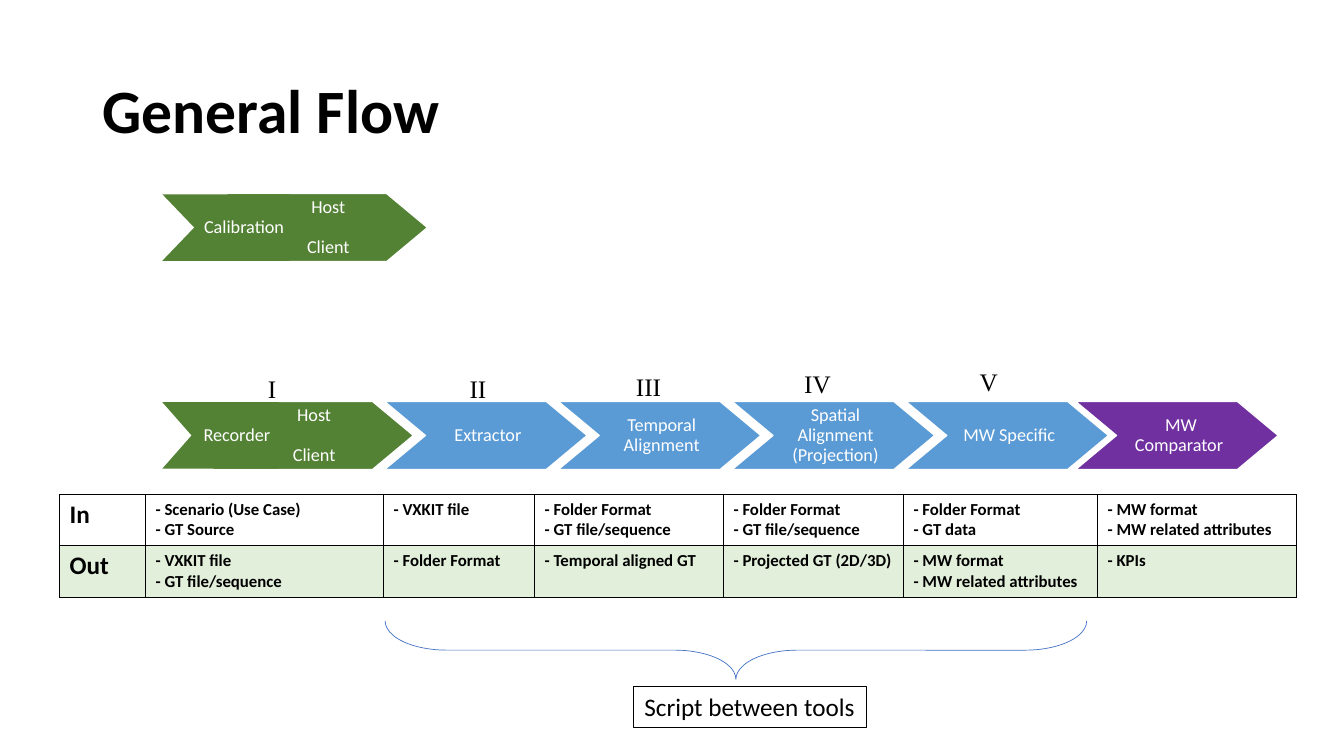
import pptx
import pptx.util
import pptx.dml.color
import pptx.enum.shapes
import pptx.enum.text
import pptx.oxml
import pptx.oxml.ns

RGB = pptx.dml.color.RGBColor
SHAPE = pptx.enum.shapes.MSO_SHAPE
ALIGN = pptx.enum.text.PP_ALIGN
ANCHOR = pptx.enum.text.MSO_ANCHOR
Pt = pptx.util.Pt
Inches = pptx.util.Inches

BLACK = RGB(0x00, 0x00, 0x00)
WHITE = RGB(0xFF, 0xFF, 0xFF)
GREEN = RGB(0x54, 0x82, 0x35)
BLUE = RGB(0x5B, 0x9B, 0xD5)
PURPLE = RGB(0x70, 0x30, 0xA0)
PALE = RGB(0xE2, 0xEF, 0xDA)
BRACE = RGB(0x44, 0x72, 0xC4)

WIDTH, HEIGHT = Inches(13.333), Inches(7.5)

# Sizes of the flow, in percent of the slide's width or height
STEP, ARROW = 12.93, 15.08
FLOW_X, FLOW_Y, FLOW_H = 15.68, 53.1, 9

STEPS = ["Host\v\vClient", "Extractor", "Temporal Alignment",
         "Spatial Alignment (Projection)", "MW Specific"]
# Numeral, left, top, width
MARKS = [("I", 19.2, 48.67, 2.2), ("II", 34.2, 48.67, 2.85),
         ("III", 46.58, 48.4, 3.6), ("IV", 59.1, 48, 3.6),
         ("V", 72.15, 47.73, 2.8)]
COLS = [6.4, 17.71, 11.24, 14.06, 13.39, 14.44, 14.8]
ROWS = [
    ["In", "- Scenario (Use Case)\n- GT Source", "- VXKIT file",
     "- Folder Format\n- GT file/sequence",
     "- Folder Format\n- GT file/sequence",
     "- Folder Format\n- GT data",
     "- MW format\n- MW related attributes"],
    ["Out", "- VXKIT file\n- GT file/sequence", "- Folder Format",
     "- Temporal aligned GT", "- Projected GT (2D/3D)",
     "- MW format\n- MW related attributes", "- KPIs"],
]


def across(share):
    return int(WIDTH * share / 100)


def down(share):
    return int(HEIGHT * share / 100)


def place(x, y, w, h):
    return across(x), down(y), across(w), down(h)


def write(frame, text, size, color=BLACK, font="Calibri", bold=False,
          align=ALIGN.LEFT):
    frame.text = text
    for para in frame.paragraphs:
        para.alignment = align
        for run in para.runs:
            run.font.name = font
            run.font.size = Pt(size)
            run.font.bold = bold
            run.font.color.rgb = color
        # Line breaks carry their own text size
        for gap in para._p.findall(pptx.oxml.ns.qn("a:br")):
            gap.append(pptx.oxml.parse_xml(
                f'<a:rPr {pptx.oxml.ns.nsdecls("a")} sz="{size * 100}"/>'))


def label(slide, text, box, size, wrap=False, **style):
    frame = slide.shapes.add_textbox(*place(*box)).text_frame
    frame.word_wrap = wrap
    write(frame, text, size, **style)
    return frame


def shape(slide, kind, box, fill=None, line=None, weight=1):
    item = slide.shapes.add_shape(kind, *place(*box))
    item.shadow.inherit = False
    if fill is None:
        item.fill.background()
    else:
        item.fill.solid()
        item.fill.fore_color.rgb = fill
    if line is None:
        item.line.fill.background()
    else:
        item.line.color.rgb = line
        item.line.width = Pt(weight)
    return item


def arrow(slide, text, box, fill, line=WHITE, notch=0.6):
    item = shape(slide, SHAPE.CHEVRON, box, fill, line)
    item.adjustments[0] = notch
    frame = item.text_frame
    frame.word_wrap = True
    frame.vertical_anchor = ANCHOR.MIDDLE
    # The chevron's text area already starts after its notch
    inset = int(item.height * notch)
    frame.margin_left = max(Inches(0.04), Inches(0.39) - inset)
    frame.margin_right = max(0, Inches(0.35) - inset)
    frame.margin_top = frame.margin_bottom = Inches(0.02)
    write(frame, text, 13, WHITE, align=ALIGN.CENTER)
    frame.paragraphs[0].line_spacing = 0.9
    frame.paragraphs[0].space_after = Pt(4.5)


def border(cell):
    props = cell._tc.get_or_add_tcPr()
    for i, side in enumerate(("lnL", "lnR", "lnT", "lnB")):
        props.insert(i, pptx.oxml.parse_xml(
            f'<a:{side} {pptx.oxml.ns.nsdecls("a")} w="12700"><a:solidFill>'
            f'<a:srgbClr val="{BLACK}"/></a:solidFill></a:{side}>'))


def grid(slide, x, y, high):
    box = place(x, y, sum(COLS), high * len(ROWS))
    table = slide.shapes.add_table(len(ROWS), len(COLS), *box).table
    table.first_row = table.horz_banding = False
    for col, share in zip(table.columns, COLS):
        col.width = across(share)
    for r, (row, texts) in enumerate(zip(table.rows, ROWS)):
        row.height = down(high)
        for c, text in enumerate(texts):
            cell = table.cell(r, c)
            write(cell.text_frame, text, 12 if c else 18, bold=True)
            cell.fill.solid()
            cell.fill.fore_color.rgb = PALE if r else WHITE
            border(cell)


def main():
    deck = pptx.Presentation()
    deck.slide_width, deck.slide_height = WIDTH, HEIGHT
    slide = deck.slides.add_slide(deck.slide_layouts[6])

    # Title
    title = label(slide, "General Flow", (6.9, 5.33, 86.25, 19.33), 44,
                  wrap=True, bold=True)
    title.vertical_anchor = ANCHOR.MIDDLE
    title.paragraphs[0].line_spacing = 0.9

    # Main flow
    for i, text in enumerate(STEPS):
        arrow(slide, text, (FLOW_X + i * STEP, FLOW_Y, ARROW, FLOW_H),
              BLUE if i else GREEN)
    arrow(slide, "Recorder", (12.08, 53.2, 10.8, 8.8), GREEN, None, 0.44)
    arrow(slide, " MW Comparator", (80.03, FLOW_Y, ARROW, FLOW_H), PURPLE)
    for text, x, y, w in MARKS:
        label(slide, text, (x, y, w, 5.33), 18, font="Times New Roman")

    # Calibration
    arrow(slide, STEPS[0], (16.73, 25.6, ARROW, FLOW_H), GREEN)
    arrow(slide, "Calibration", (12.08, 25.7, 11.85, 8.8), GREEN, None, 0.48)

    # Inputs and outputs
    grid(slide, 4.43, 65.4, 6.8)

    # Brace and its caption
    brace = shape(slide, SHAPE.RIGHT_BRACE, (52.58, 39.6, 4.35, 92.8),
                  line=BRACE, weight=0.5)
    brace.rotation = 90
    brace.adjustments[0], brace.adjustments[1] = 1.05, 0.5
    note = shape(slide, SHAPE.RECTANGLE, (47.1, 90.8, 17.33, 5.4),
                 line=BLACK, weight=0.25)
    write(note.text_frame, "Script between tools", 18, align=ALIGN.CENTER)

    deck.save("out.pptx")


if __name__ == "__main__":
    main()
